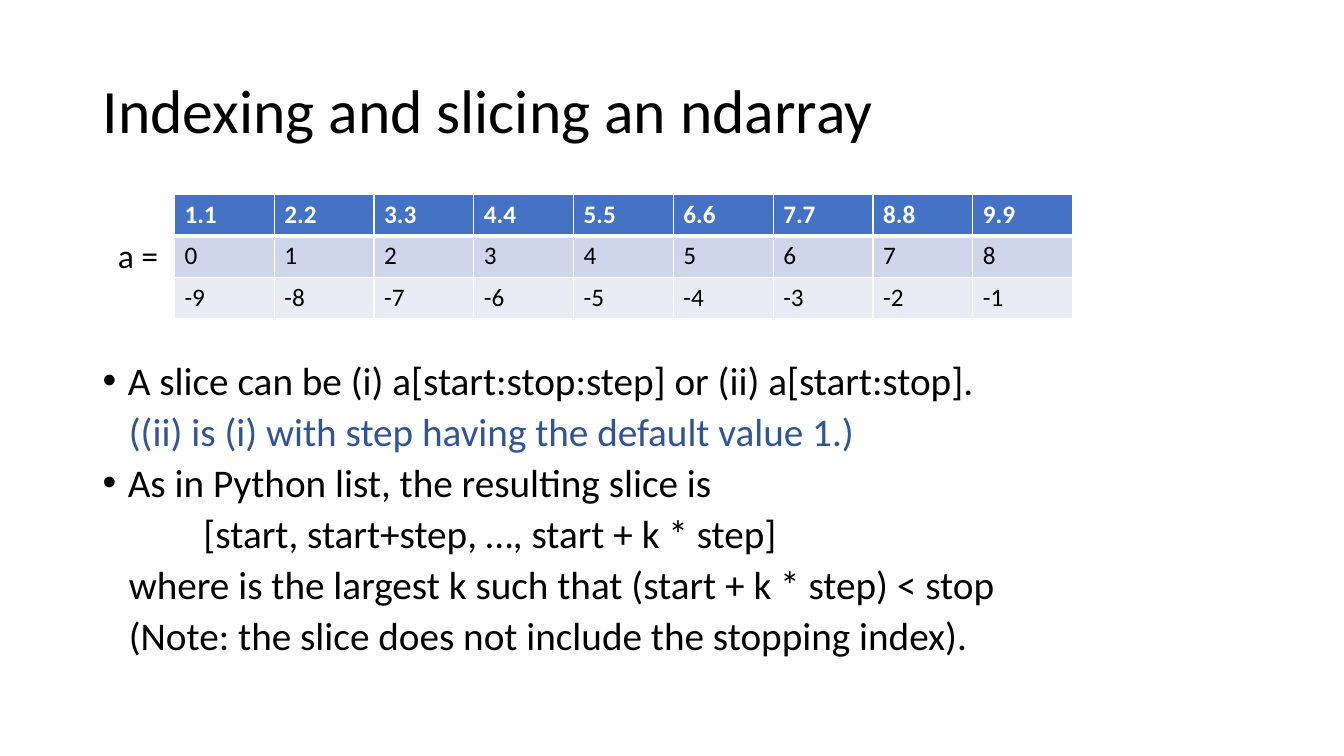
from dataclasses import dataclass

from lxml.etree import SubElement
from pptx import Presentation
from pptx.dml.color import RGBColor
from pptx.enum.text import MSO_ANCHOR
from pptx.oxml.ns import qn
from pptx.util import Emu, Pt


@dataclass(frozen=True)
class Theme:
    font: str = "Calibri"
    title_size: int = 44
    body_size: int = 28
    label_size: int = 24
    cell_size: int = 18
    text: str = "000000"
    note: str = "2F5597"
    white: str = "FFFFFF"
    header_fill: str = "4472C4"
    index_fill: str = "CFD5EA"
    negative_fill: str = "E9EBF5"


THEME = Theme()
EMU_PER_PX = 9144
BULLET_INDENT = 25
PLAIN_INDENT = 26
FORMULA_INDENT = 100
LENGTH = 9

BODY_LINES = [
    ("A slice can be (i) a[start:stop:step] or (ii) a[start:stop].", BULLET_INDENT, THEME.text),
    ("((ii) is (i) with step having the default value 1.)", PLAIN_INDENT, THEME.note),
    ("As in Python list, the resulting slice is", BULLET_INDENT, THEME.text),
    ("[start, start+step, …, start + k * step]", FORMULA_INDENT, THEME.text),
    ("where is the largest k such that (start + k * step) < stop", PLAIN_INDENT, THEME.text),
    ("(Note: the slice does not include the stopping index).", PLAIN_INDENT, THEME.text),
]


def px(length):
    return Emu(length * EMU_PER_PX)


def set_font(para, size, color=THEME.text, bold=False):
    para.font.name = THEME.font
    para.font.size = Pt(size)
    para.font.bold = bold
    para.font.color.rgb = RGBColor.from_string(color)


def add_text_frame(page, left, top, width, height, wrap=True):
    box = page.shapes.add_textbox(px(left), px(top), px(width), px(height))
    box.text_frame.word_wrap = wrap
    return box.text_frame


def add_title(page, text):
    frame = add_text_frame(page, 92, 40, 1150, 145)
    frame.vertical_anchor = MSO_ANCHOR.MIDDLE
    para = frame.paragraphs[0]
    para.text = text
    para.line_spacing = 0.9
    set_font(para, THEME.title_size)


def set_indent(para, indent):
    """Indent a body line; lines at the bullet indent get a hanging bullet."""
    properties = para._p.get_or_add_pPr()
    properties.set("marL", str(px(indent)))
    if indent == BULLET_INDENT:
        properties.set("indent", str(px(-indent)))
        SubElement(properties, qn("a:buFont"), typeface="Arial")
        SubElement(properties, qn("a:buChar"), char="•")


def add_body(page, lines):
    frame = add_text_frame(page, 92, 358, 1043, 311)
    for number, (text, indent, color) in enumerate(lines):
        para = frame.add_paragraph() if number else frame.paragraphs[0]
        para.text = text
        set_indent(para, indent)
        para.line_spacing = 0.8
        if number:
            para.space_before = Pt(9.4)
        set_font(para, THEME.body_size, color)


def set_borders(cell, top, bottom):
    """Draw white borders; top and bottom widths are in points."""
    properties = cell._tc.get_or_add_tcPr()
    for side, width in (("L", 1), ("R", 1), ("T", top), ("B", bottom)):
        line = SubElement(properties, qn(f"a:ln{side}"), w=str(Pt(width)))
        fill = SubElement(line, qn("a:solidFill"))
        SubElement(fill, qn("a:srgbClr"), val=THEME.white)


def add_array_table(page):
    column_width, row_height = 99, 41
    rows = [
        ([f"{i}.{i}" for i in range(1, LENGTH + 1)], THEME.header_fill, THEME.white),
        (range(LENGTH), THEME.index_fill, THEME.text),
        (range(-LENGTH, 0), THEME.negative_fill, THEME.text),
    ]
    table = page.shapes.add_table(
        len(rows), LENGTH, px(173), px(193),
        px(column_width * LENGTH), px(row_height * len(rows)),
    ).table
    for column in table.columns:
        column.width = px(column_width)
    for r, (values, fill, color) in enumerate(rows):
        table.rows[r].height = px(row_height)
        for c, value in enumerate(values):
            cell = table.cell(r, c)
            set_borders(cell, top=3 if r == 1 else 1, bottom=3 if r == 0 else 1)
            cell.fill.solid()
            cell.fill.fore_color.rgb = RGBColor.from_string(fill)
            para = cell.text_frame.paragraphs[0]
            para.text = str(value)
            set_font(para, THEME.cell_size, color, bold=r == 0)


def add_array_label(page, text):
    frame = add_text_frame(page, 107, 228, 61, 50, wrap=False)
    para = frame.paragraphs[0]
    para.text = text
    set_font(para, THEME.label_size)


def main():
    deck = Presentation()
    deck.slide_width, deck.slide_height = px(1333), px(750)
    page = deck.slides.add_slide(deck.slide_layouts[6])
    add_title(page, "Indexing and slicing an ndarray")
    add_body(page, BODY_LINES)
    add_array_table(page)
    add_array_label(page, "a =")
    deck.save("out.pptx")


if __name__ == "__main__":
    main()
